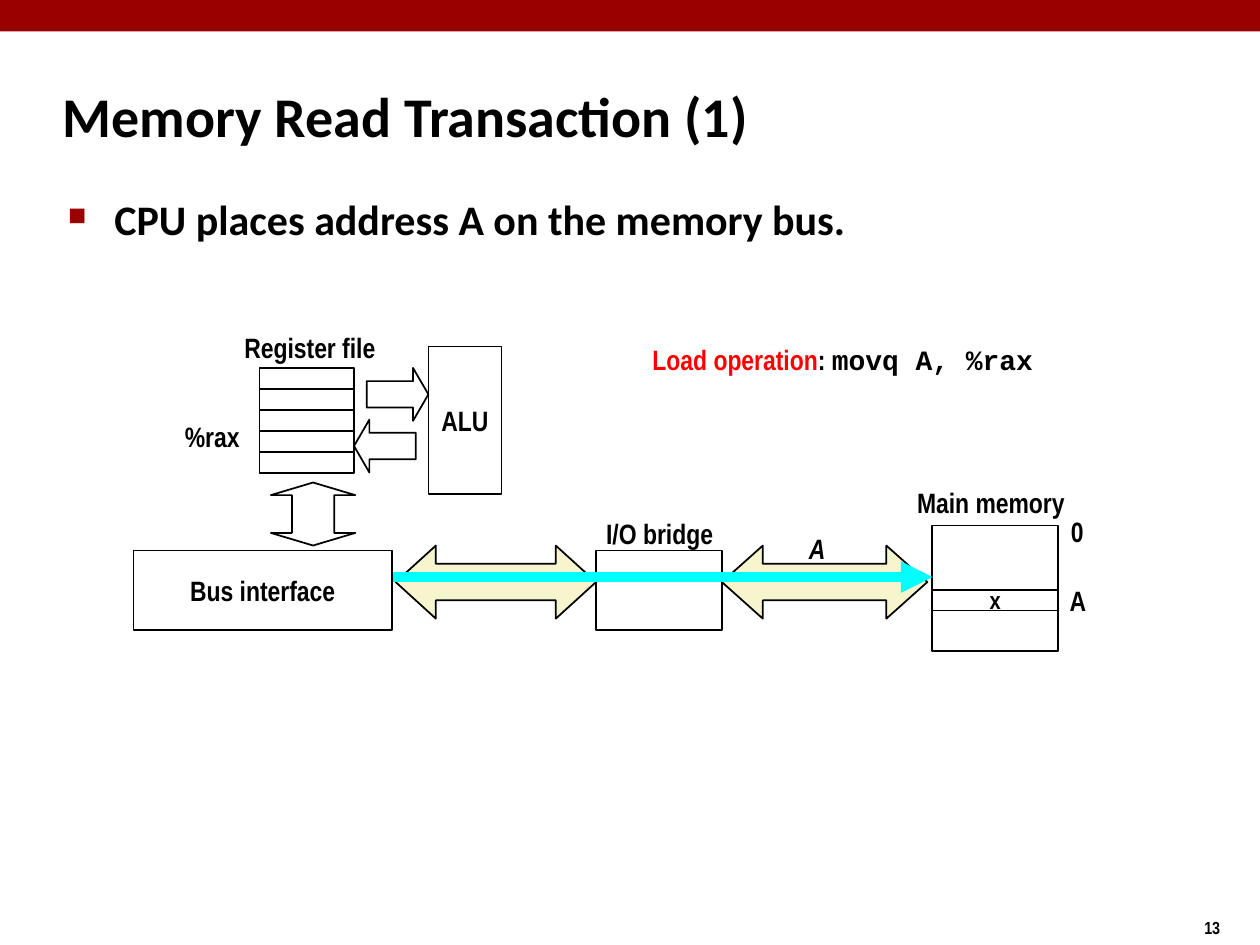
"""Build the slide on the first step of a memory read transaction."""
from dataclasses import dataclass
from typing import Optional

from lxml.etree import SubElement
from pptx import Presentation
from pptx.dml.color import RGBColor
from pptx.enum.shapes import MSO_CONNECTOR as Link, MSO_SHAPE as Kind
from pptx.enum.text import MSO_ANCHOR as Anchor, MSO_AUTO_SIZE as Fit, PP_ALIGN as Align
from pptx.oxml.ns import qn
from pptx.util import Inches, Pt

BLACK = RGBColor(0, 0, 0)
WHITE = RGBColor(255, 255, 255)
RED = RGBColor(255, 0, 0)
MAROON = RGBColor(0x99, 0, 0)
CREAM = RGBColor(0xF7, 0xF5, 0xCD)
CYAN = RGBColor(0, 255, 255)
NARROW, SANS, MONO = "Arial Narrow", "Calibri", "Courier New"


@dataclass(frozen=True)
class Part:
    kind: Kind
    left: float
    top: float
    width: float
    height: float
    text: str = ""
    size: int = 16
    fill: Optional[RGBColor] = None
    head: Optional[float] = None


@dataclass(frozen=True)
class Label:
    text: str
    left: float
    top: float
    width: float
    align: Align = Align.CENTER
    italic: bool = False


ROW = 1 / 6
REGS = [Part(Kind.RECTANGLE, 2.06, 2.92 + i * ROW, 0.75, ROW) for i in range(5)]
BACK = [
    Part(Kind.RECTANGLE, 7.4, 4.17, 1, 1),
    Part(Kind.LEFT_RIGHT_ARROW, 5.73, 4.33, 1.63, 0.58, fill=CREAM, head=0.56),
    Part(Kind.RECTANGLE, 4.73, 4.37, 1, 0.63),
    Part(Kind.LEFT_RIGHT_ARROW, 3.14, 4.33, 1.59, 0.58, fill=CREAM, head=0.55),
    *REGS,
    Part(Kind.RIGHT_ARROW, 2.91, 2.92, 0.49, 0.42, head=0.29),
    Part(Kind.LEFT_ARROW, 2.81, 3.33, 0.49, 0.42, head=0.29),
    Part(Kind.RECTANGLE, 3.4, 2.75, 0.58, 1.17, "ALU"),
    Part(Kind.UP_DOWN_ARROW, 2.15, 3.83, 0.67, 0.5, head=0.2),
]
FRONT = [
    Part(Kind.RECTANGLE, 1.06, 4.37, 2.05, 0.63, "Bus interface", fill=WHITE),
    Part(Kind.RECTANGLE, 7.4, 4.68, 1, ROW, "x", size=14),
]
LABELS = [
    Label("Register file", 1.84, 2.57, 1.24),
    Label("A", 6.32, 4.17, 0.33, italic=True),
    Label("0", 8.4, 4.03, 0.3, Align.LEFT),
    Label("A", 8.39, 4.58, 0.33, Align.LEFT),
    Label("Main memory", 7.18, 3.8, 1.37),
    Label("I/O bridge", 4.71, 4.05, 1.05),
    Label("%rax", 1.31, 3.28, 0.75),
]


def write(para, text: str, *, size: int = 16, font: str = NARROW,
          color: RGBColor = BLACK, italic: bool = False) -> None:
    run = para.add_run()
    run.text = text
    face = run.font
    face.name, face.size, face.bold, face.italic = font, Pt(size), True, italic
    face.color.rgb = color


def add_box(slide, left: float, top: float, width: float, height: float,
            anchor: Anchor = Anchor.TOP, wrap: bool = True):
    box = slide.shapes.add_textbox(Inches(left), Inches(top), Inches(width), Inches(height))
    frame = box.text_frame
    frame.word_wrap, frame.vertical_anchor = wrap, anchor
    frame.auto_size = Fit.NONE if wrap else Fit.SHAPE_TO_FIT_TEXT
    return frame.paragraphs[0]


def set_head(shape, head: float) -> None:
    guides = shape._element.spPr.find(qn("a:prstGeom")).get_or_add_avLst()
    for guide in list(guides):
        guides.remove(guide)
    for name, value in (("adj1", 0.5), ("adj2", head)):
        SubElement(guides, qn("a:gd"), name=name, fmla=f"val {round(value * 100000)}")


def draw_part(slide, part: Part):
    shape = slide.shapes.add_shape(part.kind, Inches(part.left), Inches(part.top),
                                   Inches(part.width), Inches(part.height))
    shape.shadow.inherit = False
    shape.line.color.rgb, shape.line.width = BLACK, Pt(1)
    if part.fill is None:
        shape.fill.background()
    else:
        shape.fill.solid()
        shape.fill.fore_color.rgb = part.fill
    if part.head is not None:
        set_head(shape, part.head)
    if part.text:
        frame = shape.text_frame
        frame.word_wrap, frame.vertical_anchor = False, Anchor.MIDDLE
        frame.paragraphs[0].alignment = Align.CENTER
        write(frame.paragraphs[0], part.text, size=part.size)
    return shape


def draw_label(slide, label: Label) -> None:
    para = add_box(slide, label.left, label.top, label.width, 0.37, Anchor.MIDDLE, wrap=False)
    para.alignment = label.align
    write(para, label.text, italic=label.italic)


def draw_path(slide) -> None:
    link = slide.shapes.add_connector(Link.STRAIGHT, Inches(3.06), Inches(4.58),
                                      Inches(7.4), Inches(4.58))
    link.line.color.rgb, link.line.width = CYAN, Pt(6)
    SubElement(link.line._get_or_add_ln(), qn("a:tailEnd"), type="triangle")
    SubElement(link._element.spPr, qn("a:effectLst"))


def add_bullet(para) -> None:
    props = para._p.get_or_add_pPr()
    props.set("marL", str(Inches(0.38)))
    props.set("indent", str(Inches(-0.37)))
    tint = SubElement(props, qn("a:buClr"))
    SubElement(tint, qn("a:srgbClr"), val=str(MAROON))
    SubElement(props, qn("a:buSzPct"), val="60000")
    SubElement(props, qn("a:buChar"), char="■")


def main() -> None:
    deck = Presentation()
    deck.slide_width, deck.slide_height = Inches(10), Inches(7.5)
    slide = deck.slides.add_slide(deck.slide_layouts[6])
    band = draw_part(slide, Part(Kind.RECTANGLE, 0, 0, 10, 0.25, fill=MAROON))
    band.line.fill.background()
    write(add_box(slide, 9.46, 7.23, 0.54, 0.27), "13", size=10)
    write(add_box(slide, 0.4, 0.5, 8.3, 0.83, Anchor.MIDDLE),
          "Memory Read Transaction (1)", size=32, font=SANS)
    point = add_box(slide, 0.43, 1.49, 8.64, 5.44)
    add_bullet(point)
    write(point, "CPU places address A on the memory bus.", size=24, font=SANS)
    for part in BACK:
        draw_part(slide, part)
    draw_path(slide)
    for part in FRONT:
        draw_part(slide, part)
    for label in LABELS:
        draw_label(slide, label)
    load = add_box(slide, 5.08, 2.67, 3.22, 0.63, wrap=False)
    write(load, "Load operation", color=RED)
    write(load, ": ")
    write(load, "movq A, %rax", font=MONO)
    deck.save("out.pptx")


if __name__ == "__main__":
    main()
